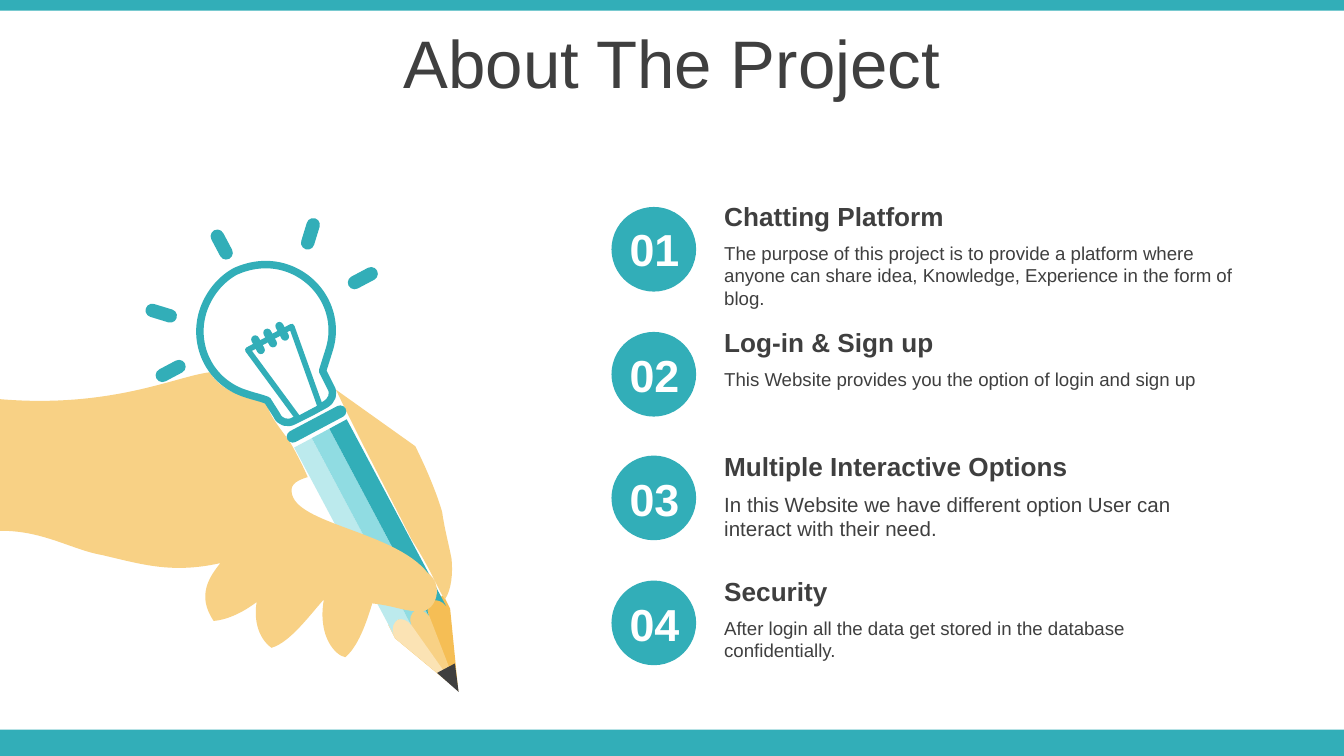
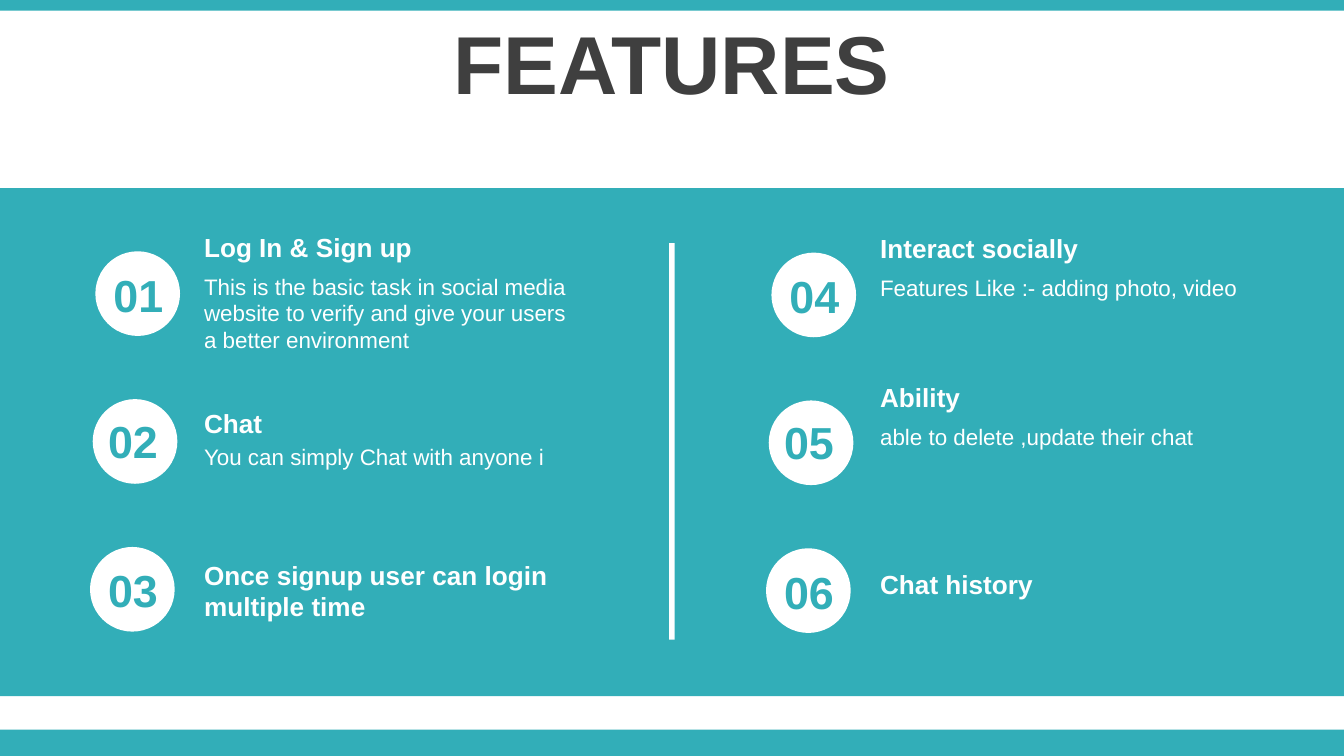
import math
from pptx import Presentation
from pptx import util as u
from pptx.dml.color import RGBColor
from pptx.enum import shapes, text
from pptx.oxml.ns import qn

TEAL = RGBColor(0x32, 0xAE, 0xB8)
TEAL_MID = RGBColor(0x90, 0xDC, 0xE2)
TEAL_PALE = RGBColor(0xBC, 0xEA, 0xED)
SKIN = RGBColor(0xF8, 0xD1, 0x85)
WOOD_DARK = RGBColor(0xF5, 0xBE, 0x55)
WOOD_PALE = RGBColor(0xFB, 0xE3, 0xB4)
DARK = RGBColor(0x3F, 0x3F, 0x3F)
WHITE = RGBColor(0xFF, 0xFF, 0xFF)
FONT = "Arial"
KIND = shapes.MSO_SHAPE

# The slide is a grid of 10 columns of square cells; all lengths count cells.
COLS = 10
ROWS = COLS * 9 / 16
CELL = u.Inches(1)
DISC = 0.63
NUMBER_W, NUMBER_H = 0.7, 0.5
HEAD_H = 0.34
PENCIL_TILT = 332


def add_shape(s, kind, box, fill, rot=0, line=None):
    """Add a preset shape; box is left, top, width, height in cells."""
    sp = s.shapes.add_shape(kind, *(round(v * CELL) for v in box))
    sp.shadow.inherit = False
    sp.rotation = rot
    sp.fill.solid()
    sp.fill.fore_color.rgb = fill
    if line:
        sp.line.color.rgb = TEAL
        sp.line.width = u.Pt(line)
    else:
        sp.line.fill.background()
    if kind == KIND.ROUNDED_RECTANGLE:
        sp.adjustments[0] = 0.5
    return sp


def add_text(s, box, lines, size, color, bold=False, align=text.PP_ALIGN.LEFT):
    tf = s.shapes.add_textbox(*(round(v * CELL) for v in box)).text_frame
    tf.word_wrap = True
    for i, line in enumerate(lines):
        p = tf.add_paragraph() if i else tf.paragraphs[0]
        p.alignment = align
        r = p.add_run()
        r.text = line
        r.font.name, r.font.size, r.font.bold = FONT, u.Pt(size), bold
        r.font.color.rgb = color


prs = Presentation()
prs.slide_width = COLS * CELL
prs.slide_height = round(ROWS * CELL)
layout = prs.slide_layouts[5]
about, features = [prs.slides.add_slide(layout) for _ in range(2)]

# Shared bands, moved from the first slide to the layout
for band in [(0, 0, COLS, 0.08), (0, 5.43, COLS, 0.2)]:
    sp = add_shape(about, KIND.RECTANGLE, band, TEAL)
    layout.shapes.element.insert(2, sp.element)

# Titles
for s, title, size, bold in [(about, "About The Project", 36, False),
                             (features, "FEATURES", 44, True)]:
    sp = s.shapes.title
    sp.left, sp.top, sp.width, sp.height = (
        round(v * CELL) for v in (0, 0.14, COLS, 0.63))
    tf = sp.text_frame
    tf.auto_size = text.MSO_AUTO_SIZE.NONE
    tf.vertical_anchor = text.MSO_ANCHOR.MIDDLE
    p = tf.paragraphs[0]
    p.alignment = text.PP_ALIGN.CENTER
    r = p.add_run()
    r.text = title
    r.font.name, r.font.size, r.font.bold = FONT, u.Pt(size), bold
    r.font.color.rgb = DARK

# Slide 1: hand, pencil and bulb. Two numbers are a line, six are a curve.
tip_right = [(2.89, 4.65), (3.3, 4.43), (3.35, 4.53), (3.41, 5.14), (2.94, 4.75)]
tip_middle = [(3.02, 4.57), (3.16, 4.5), (3.19, 4.57), (3.41, 5.14), (3.07, 4.67)]
tip_left = [(2.89, 4.65), (3.02, 4.58), (3.04, 4.6, 3.05, 4.62, 3.06, 4.65),
            (3.4, 5.13), (2.94, 4.75)]
barrel = [(2.19, 3.33), (2.32, 3.26), (3.06, 4.65),
          (3.03, 4.61, 2.99, 4.6, 2.96, 4.61),
          (2.93, 4.63, 2.91, 4.67, 2.93, 4.72)]
bulb = [(1.75, 2.02), (1.86, 1.97, 1.99, 1.95, 2.12, 1.99),
        (2.38, 2.07, 2.53, 2.34, 2.45, 2.6), (2.4, 2.76), (2.46, 2.88),
        (2.49, 2.93, 2.47, 2.98, 2.42, 3.01), (2.31, 3.07), (2.19, 3.13),
        (2.14, 3.16, 2.08, 3.14, 2.06, 3.09), (1.99, 2.98),
        (1.94, 2.96, 1.89, 2.95, 1.83, 2.93),
        (1.57, 2.85, 1.43, 2.58, 1.51, 2.32),
        (1.55, 2.19, 1.64, 2.08, 1.75, 2.02)]
finger = [(2.5, 2.9), (3.09, 3.32), (3.17, 3.48, 3.25, 3.67, 3.29, 3.81),
          (3.31, 3.95, 3.34, 4.05, 3.36, 4.16),
          (3.37, 4.26, 3.36, 4.39, 3.31, 4.46),
          (3.26, 4.39, 3.22, 4.26, 3.06, 4.01),
          (2.93, 3.75, 2.64, 3.2, 2.5, 2.9)]
palm = [(1.56, 2.77), (1.67, 2.95, 1.9, 2.96, 1.99, 3.01),
        (2, 3.1, 2.13, 3.24, 2.17, 3.31), (2.22, 3.4, 2.25, 3.46, 2.29, 3.55),
        (2.22, 3.57, 2.16, 3.6, 2.17, 3.66), (2.19, 3.9, 2.93, 3.95, 3.18, 4.26),
        (3.31, 4.36, 3.24, 4.54, 3.14, 4.55), (3, 4.55, 2.95, 4.51, 2.77, 4.49),
        (2.71, 4.69, 2.65, 4.82, 2.57, 4.89), (2.5, 4.88, 2.36, 4.74, 2.41, 4.46),
        (2.31, 4.57, 2.16, 4.78, 2.02, 4.82), (1.91, 4.74, 1.89, 4.59, 1.91, 4.48),
        (1.83, 4.54, 1.71, 4.61, 1.59, 4.62), (1.46, 4.43, 1.56, 4.29, 1.64, 4.19),
        (1.28, 4.27, 1.06, 4.2, 0.76, 4.13), (0.53, 4.09, 0.31, 3.94, -0.02, 3.95),
        (0, 2.97), (0.83, 3.04, 1.31, 2.8, 1.56, 2.77)]

outlines = [([tip_right], WOOD_DARK, PENCIL_TILT, 0),
            ([tip_middle], SKIN, PENCIL_TILT, 0),
            ([tip_left], WOOD_PALE, PENCIL_TILT, 0),
            ([barrel], TEAL_PALE, PENCIL_TILT, 0),
            ([barrel], TEAL_MID, PENCIL_TILT, 1),
            ([barrel], TEAL, PENCIL_TILT, 2),
            ([finger, palm], SKIN, 0, 0), ([bulb], WHITE, 107, 0)]
for contours, fill, rot, shift in outlines:
    cos, sin = math.cos(math.radians(rot)), math.sin(math.radians(rot))
    fb = None
    for contour in contours:
        pts = []
        for seg in contour:
            for x, y in zip(seg[::2], seg[1::2]):
                x, y = x + 0.13 * shift, y - 0.07 * shift
                # Turned upright here; the shape's rotation turns it back
                pts.append((1000 * (x * cos + y * sin), 1000 * (y * cos - x * sin)))
        if fb:
            fb.move_to(*pts[0])
        else:
            fb = about.shapes.build_freeform(*pts[0], scale=CELL / 1000)
        fb.add_line_segments(pts[1:], close=True)
    sp = fb.convert_to_shape()
    cx, cy = sp.left + sp.width / 2, sp.top + sp.height / 2
    sp.left = round(cx * cos - cy * sin - sp.width / 2)
    sp.top = round(cx * sin + cy * cos - sp.height / 2)
    sp.rotation = rot
    # Join each three control points into one curve
    outline = next(sp.element.iter(qn("a:path")))
    steps = iter(outline.findall(qn("a:lnTo")))
    for contour in contours:
        for seg in contour[1:]:
            step = next(steps)
            if len(seg) == 6:
                step.tag = qn("a:cubicBezTo")
                for _ in range(2):
                    extra = next(steps)
                    step.append(extra[0])
                    outline.remove(extra)
    sp.shadow.inherit = False
    sp.fill.solid()
    sp.fill.fore_color.rgb = fill
    if contours == [bulb]:
        sp.line.color.rgb = TEAL
        sp.line.width = u.Pt(4)
    else:
        sp.line.fill.background()

add_shape(about, KIND.ISOSCELES_TRIANGLE, (3.29, 4.96, 0.15, 0.2), DARK, 152)
add_shape(about, KIND.TRAPEZOID, (1.97, 2.48, 0.37, 0.63), WHITE, 152, line=3)
rays = [(2.26, 1.62, 17), (1.15, 2.21, 287), (1.6, 1.7, 332),
        (2.65, 1.95, 62), (1.22, 2.64, 242)]
for x, y, rot in rays:
    add_shape(about, KIND.ROUNDED_RECTANGLE, (x, y, 0.1, 0.24), TEAL, rot)
add_shape(about, KIND.ROUNDED_RECTANGLE, (2.11, 3.11, 0.49, 0.09), TEAL, PENCIL_TILT)
for i in range(3):
    coil = (1.89 + 0.09 * i, 2.49 - 0.05 * i, 0.06, 0.15)
    add_shape(about, KIND.ROUNDED_RECTANGLE, coil, TEAL, PENCIL_TILT)

# Slide 1: numbered points
points = [  # disc top, heading top, heading, body size, body height, body
    (1.54, 1.44, "Chatting Platform", 10, 0.79,
     "The purpose of this project is to provide a platform where "
     "anyone can share idea, Knowledge, Experience in the form of blog."),
    (2.47, 2.38, "Log-in & Sign up", 10, 0.67,
     "This Website provides you the option of login and sign up"),
    (3.39, 3.3, "Multiple Interactive Options", 11, 0.49,
     "In this Website we have different option User can interact with their need."),
    (4.32, 4.23, "Security", 10, 0.44,
     "After login all the data get stored in the database confidentially."),
]
TEXT_X, TEXT_W = 5.29, 4.02
for i, (disc_y, y, head, size, body_h, body) in enumerate(points):
    add_shape(about, KIND.OVAL, (4.55, disc_y, DISC, DISC), TEAL)
    add_text(about, (TEXT_X, y + 0.31, TEXT_W, body_h), [body], size, DARK)
    add_text(about, (TEXT_X, y, TEXT_W, HEAD_H), [head], 14, DARK, True)
    add_text(about, (4.52, y + 0.16, NUMBER_W, NUMBER_H), [f"{i + 1:02}"], 24,
             WHITE, True, text.PP_ALIGN.CENTER)

# Slide 2: two columns of three features on a panel
add_shape(features, KIND.RECTANGLE, (0, 1.4, COLS, 3.78), TEAL)
add_shape(features, KIND.RECTANGLE, (4.98, 1.81, 0.04, 2.95), WHITE)
items = [  # heading, its top, height, body lines, their top
    ("Log In & Sign up", 1.67, HEAD_H, ["This is the basic task in social media",
                                        "website to verify and give your users",
                                        "a better environment"], 1.98),
    ("Chat", 2.98, HEAD_H, ["You can simply Chat with anyone i"], 3.25),
    ("Once signup user can login multiple time", 4.11, 0.57, [], 0),
    ("Interact socially", 1.68, HEAD_H, ["Features Like :- adding photo, video"], 1.99),
    ("Ability", 2.79, HEAD_H, ["able to delete ,update their chat"], 3.1),
    ("Chat history", 4.18, HEAD_H, [], 0),
]
NUMBER_AT = [(0.68, 0.07), (0.64, 0.06), (0.64, 0.07)]
ITEM_W = 2.91
for i, (head, head_y, head_h, body, body_y) in enumerate(items):
    col, row = divmod(i, 3)
    x, y = 5.03 * col, 1.87 + 1.1 * row + 0.01 * col
    dx, dy = NUMBER_AT[row]
    add_shape(features, KIND.OVAL, (x + 0.71 - 0.02 * row, y, DISC, DISC), WHITE)
    if body:
        add_text(features, (x + 1.42, body_y, ITEM_W, 0.1 + 0.2 * len(body)),
                 body, 12, WHITE)
    add_text(features, (x + 1.42, head_y, ITEM_W, head_h), [head], 14, WHITE, True)
    add_text(features, (x + dx, y + dy, NUMBER_W, NUMBER_H),
             [f"{i + 1:02}"], 24, TEAL, True, text.PP_ALIGN.CENTER)

prs.save("out.pptx")
